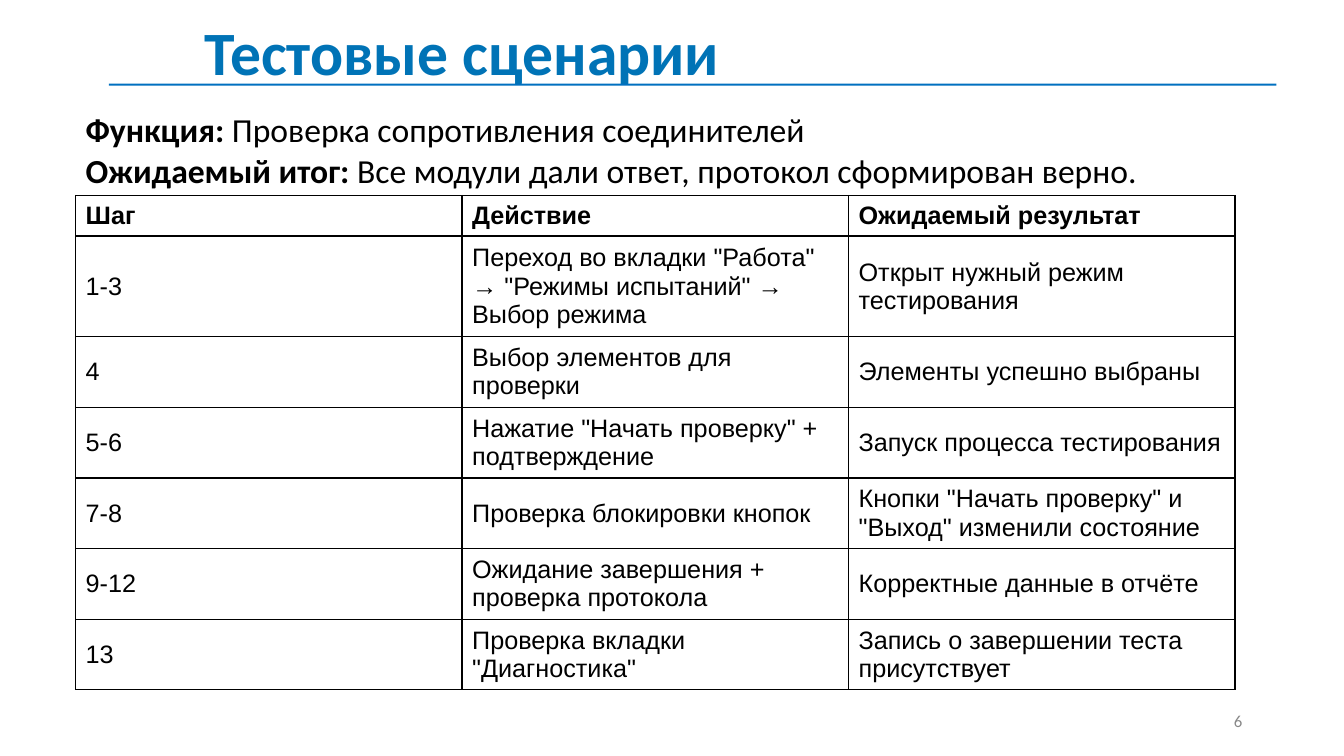
from lxml import etree
from pptx import Presentation
from pptx.dml.color import RGBColor
from pptx.enum.shapes import MSO_SHAPE
from pptx.enum.text import MSO_ANCHOR, MSO_AUTO_SIZE, PP_ALIGN
from pptx.oxml.ns import qn
from pptx.util import Inches, Pt

RECT = MSO_SHAPE.RECTANGLE
MID, LOW = MSO_ANCHOR.MIDDLE, MSO_ANCHOR.BOTTOM
LEFT, RIGHT = PP_ALIGN.LEFT, PP_ALIGN.RIGHT
FIXED = MSO_AUTO_SIZE.NONE
HUES = {"title": "0073B6", "rule": "0070C0", "text": "000000", "page": "888888"}
SIDES = ("a:lnL", "a:lnR", "a:lnT", "a:lnB")

INTRO = [
    [("Функция:", True), (" Проверка сопротивления соединителей", False)],
    [("Ожидаемый итог:", True),
     (" Все модули дали ответ, протокол сформирован верно.", False)],
]
STEPS = [
    ("Шаг", "Действие", "Ожидаемый результат"),
    ("1-3", 'Переход во вкладки "Работа" → "Режимы испытаний" → Выбор режима',
     "Открыт нужный режим тестирования"),
    ("4", "Выбор элементов для проверки", "Элементы успешно выбраны"),
    ("5-6", 'Нажатие "Начать проверку" + подтверждение',
     "Запуск процесса тестирования"),
    ("7-8", "Проверка блокировки кнопок",
     'Кнопки "Начать проверку" и "Выход" изменили состояние'),
    ("9-12", "Ожидание завершения + проверка протокола",
     "Корректные данные в отчёте"),
    ("13", 'Проверка вкладки "Диагностика"',
     "Запись о завершении теста присутствует"),
]
TALL = [0.38, 0.95] + [0.66] * 5


class Deck:
    """Slide builder that keeps the fonts, the colours and the current slide."""

    def __init__(self):
        self.file = Presentation()
        self.file.slide_width = Inches(13.33)
        self.file.slide_height = Inches(7.5)
        self.slide = self.file.slides.add_slide(self.file.slide_layouts[5])
        self.font, self.grid = "Calibri", "Arial"

    def put(self, frame, lines, size, hue, font, align=LEFT):
        for i, line in enumerate(lines):
            para = frame.add_paragraph() if i else frame.paragraphs[0]
            para.alignment = align
            for words, bold in line:
                run = para.add_run()
                run.text = words
                run.font.name, run.font.size = font, Pt(size)
                run.font.bold = bold
                run.font.color.rgb = RGBColor.from_string(HUES[hue])

    def title(self, words, box):
        shape = self.slide.shapes.title
        shape.left, shape.top, shape.width, shape.height = map(Inches, box)
        frame = shape.text_frame
        frame.auto_size, frame.vertical_anchor = FIXED, LOW
        self.put(frame, [[(words, True)]], 44, "title", self.font)
        frame.paragraphs[0].line_spacing = 0.9

    def rule(self, box):
        shape = self.slide.shapes.add_shape(RECT, *map(Inches, box))
        shape.shadow.inherit = False
        shape.fill.solid()
        shape.fill.fore_color.rgb = RGBColor.from_string(HUES["rule"])
        shape.line.fill.background()

    def text(self, lines, box, size, hue, align=LEFT):
        frame = self.slide.shapes.add_textbox(*map(Inches, box)).text_frame
        frame.word_wrap = True
        frame.vertical_anchor = MID
        self.put(frame, lines, size, hue, self.font, align)

    def edge(self, cell):
        props = cell._tc.get_or_add_tcPr()
        for side in SIDES:
            line = etree.SubElement(props, qn(side), w=str(Pt(1)))
            fill = etree.SubElement(line, qn("a:solidFill"))
            etree.SubElement(fill, qn("a:srgbClr"), val=HUES["text"])

    def table(self, rows, tall, box):
        shape = self.slide.shapes.add_table(
            len(rows), len(rows[0]), *map(Inches, box))
        table = shape.table
        table.horz_banding = False
        for col in table.columns:
            col.width = Inches(box[2] / len(rows[0]))
        for r, row in enumerate(rows):
            table.rows[r].height = Inches(tall[r])
            for c, words in enumerate(row):
                cell = table.cell(r, c)
                cell.vertical_anchor = MID
                self.edge(cell)
                cell.fill.background()
                self.put(cell.text_frame, [[(words, r == 0)]], 18, "text",
                         self.grid)


def main():
    deck = Deck()
    deck.title("Тестовые сценарии", (1.93, 0.09, 9.32, 0.84))
    deck.rule((1.08, 0.83, 11.58, 0.02))
    deck.text([[("6", False)]], (9.42, 6.95, 3, 0.4), 12, "page", RIGHT)
    deck.table(STEPS, TALL, (0.75, 1.94, 11.5, sum(TALL)))
    deck.text(INTRO, (0.75, 1.03, 10.79, 0.91), 24, "text")
    deck.file.save("out.pptx")


if __name__ == "__main__":
    main()
